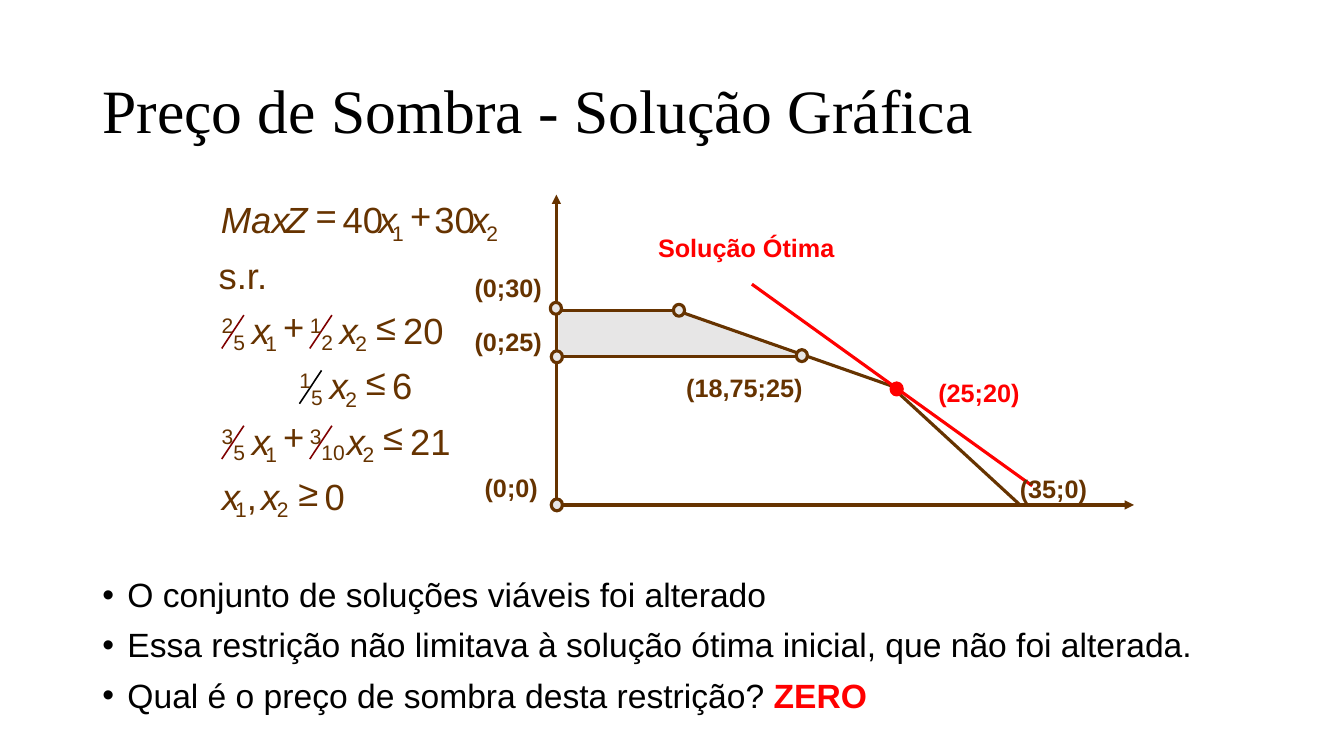
from lxml.etree import SubElement
from pptx import Presentation
from pptx.dml.color import RGBColor
from pptx.enum.shapes import MSO_CONNECTOR, MSO_SHAPE
from pptx.enum.text import MSO_ANCHOR, MSO_AUTO_SIZE
from pptx.oxml.ns import qn
from pptx.util import Pt

BROWN, RED, MAROON, BLACK, GRAY = "663300", "FF0000", "800000", "000000", "E7E6E6"
GLYPH_WIDTHS = {"Max": 1.95, "Z": 0.63, "s.r.": 1.4, ",": 0.3, "x": 0.52}


def color(value):
    return RGBColor.from_string(value)


class ShadowPriceSlide:
    """Draws formulas, graph parts and text on one slide in a shared style."""

    def __init__(self, slide):
        self.slide = slide
        self.font = "Arial"
        self.line_width = 2.25
        self.first_row, self.row_step = 141.1, 39.5

    def add_run(self, paragraph, text, size, hex_color=BLACK, bold=False, italic=False, font=None):
        run = paragraph.add_run()
        run.text = text
        run.font.name = font or self.font
        run.font.size = Pt(size)
        run.font.bold = bold
        run.font.italic = italic
        run.font.color.rgb = color(hex_color)

    def text_box(self, left, top, width, height, wrap=True, inset=None, anchor=MSO_ANCHOR.TOP):
        shape = self.slide.shapes.add_textbox(Pt(left), Pt(top), Pt(width), Pt(height))
        frame = shape.text_frame
        frame.word_wrap = wrap
        frame.vertical_anchor = anchor
        if not wrap:
            frame.auto_size = MSO_AUTO_SIZE.SHAPE_TO_FIT_TEXT
        if inset is not None:
            frame.margin_left = frame.margin_right = Pt(inset)
            frame.margin_top = frame.margin_bottom = Pt(inset)
        return frame

    def line(self, start, end, hex_color=BROWN, width=None, arrow=False):
        connector = self.slide.shapes.add_connector(
            MSO_CONNECTOR.STRAIGHT, *(Pt(value) for value in (*start, *end)))
        connector.line.color.rgb = color(hex_color)
        connector.line.width = Pt(width or self.line_width)
        properties = connector._element.spPr
        if arrow:
            SubElement(properties.find(qn("a:ln")), qn("a:tailEnd"), type="triangle")
        SubElement(properties, qn("a:effectLst"))

    def dot(self, left, top, fill=GRAY, outline=BROWN):
        shape = self.slide.shapes.add_shape(MSO_SHAPE.OVAL, Pt(left), Pt(top), Pt(8), Pt(8.5))
        shape.shadow.inherit = False
        shape.fill.solid()
        shape.fill.fore_color.rgb = color(fill)
        shape.line.color.rgb = color(outline)
        shape.line.width = Pt(self.line_width)

    def region(self, points):
        corners = [(Pt(x), Pt(y)) for x, y in points]
        builder = self.slide.shapes.build_freeform(*corners[0], scale=1.0)
        builder.add_line_segments(corners[1:], close=True)
        shape = builder.convert_to_shape()
        shape.shadow.inherit = False
        shape.fill.solid()
        shape.fill.fore_color.rgb = color(GRAY)
        shape.line.fill.background()

    def label(self, text, left, top, width, hex_color=BROWN):
        frame = self.text_box(left, top, width, 28.8, wrap=False, anchor=MSO_ANCHOR.MIDDLE)
        self.add_run(frame.paragraphs[0], text, 18, hex_color, bold=True)

    def glyph(self, row, left, text, shift=0, size=26):
        width = GLYPH_WIDTHS.get(text, 0.59 * len(text)) * size
        top = self.first_row + row * self.row_step + shift
        frame = self.text_box(left, top, width, size * 1.2, wrap=False, inset=0)
        self.add_run(frame.paragraphs[0], text, size, BROWN, italic=text in ("Max", "Z", "x"))

    def operator(self, row, left, text):
        self.glyph(row, left, text, shift=-3)

    def variable(self, row, left, index):
        self.glyph(row, left, "x")
        self.glyph(row, left + (9.5 if index == "1" else 11.3), index, shift=16.2, size=15)

    def fraction(self, row, left, numerator, denominator, hex_color=MAROON):
        top = self.first_row + row * self.row_step
        self.line((left + 15.8, top + 5), (left, top + 28.8), hex_color, 1.13)
        self.glyph(row, left, numerator, shift=3.2, size=15)
        self.glyph(row, left + 8.3, denominator, shift=15.1, size=15)

    def title(self, text):
        frame = self.text_box(66, 28.8, 828, 104.4, anchor=MSO_ANCHOR.MIDDLE)
        frame.paragraphs[0].line_spacing = 0.9
        self.add_run(frame.paragraphs[0], text, 44, font="Times New Roman")

    def bullets(self, items):
        frame = self.text_box(66, 409.8, 828, 108)
        for index, runs in enumerate(items):
            paragraph = frame.add_paragraph() if index else frame.paragraphs[0]
            properties = paragraph._p.get_or_add_pPr()
            properties.set("marL", str(Pt(18)))
            properties.set("indent", str(Pt(-18)))
            SubElement(properties, qn("a:buFont"), typeface=self.font)
            SubElement(properties, qn("a:buChar"), char="•")
            paragraph.line_spacing = 0.9
            paragraph.space_before = Pt(10 if index else 0)
            for text, hex_color, bold in runs:
                self.add_run(paragraph, text, 24, hex_color, bold)


def draw_formulas(page):
    for row, left, text in [
        (0, 157.7, "Max"), (0, 203.8, "Z"), (0, 244.8, "40"), (0, 310.3, "30"),
        (1, 156.2, "s.r."), (2, 288, "20"), (3, 280.1, "6"), (4, 293, "21"),
        (5, 176.4, ","), (5, 231.8, "0"),
    ]:
        page.glyph(row, left, text)
    for row, left, text in [
        (0, 225.4, "="), (0, 293, "+"), (2, 202.3, "+"), (2, 268.6, "≤"),
        (3, 261.4, "≤"), (4, 202.3, "+"), (4, 273.6, "≤"), (5, 213.1, "≥"),
    ]:
        page.operator(row, left, text)
    for row, left, index in [
        (0, 270.7, "1"), (0, 336.2, "2"), (2, 180, "1"), (2, 242.6, "2"), (3, 235.4, "2"),
        (4, 180, "1"), (4, 247.7, "2"), (5, 158.4, "1"), (5, 186.5, "2"),
    ]:
        page.variable(row, left, index)
    page.fraction(2, 158.4, "2", "5")
    page.fraction(2, 221.3, "1", "2")
    page.fraction(3, 213.9, "1", "5", BLACK)
    page.fraction(4, 158.4, "3", "5")
    page.fraction(4, 221.3, "3", "10")


def draw_graph(page):
    page.region([(398.9, 221.8), (480.2, 221.8), (573.1, 254.9), (398.9, 254.9)])
    page.line((397.4, 360.7), (810, 360.7), arrow=True)
    page.line((397.4, 362.2), (397.4, 139), arrow=True)
    for start, end in [
        ((637.9, 277.2), (727.9, 360)), ((398.2, 254.9), (574.6, 254.9)),
        ((481, 221), (637.2, 275.8)), ((398.9, 221.8), (485.3, 221.8)),
    ]:
        page.line(start, end)
    page.dot(636.5, 273.6, RED, RED)
    page.line((537.1, 203), (737.3, 347), RED)
    for left, top in [(393.8, 250.6), (393.8, 356.4), (568.8, 249.8), (481, 217.4), (393.1, 216)]:
        page.dot(left, top)
    for text, left, top, width in [
        ("(0;30)", 331.9, 190.8, 63.4), ("(0;25)", 331.9, 229.7, 63.4),
        ("(0;0)", 339.1, 334.1, 52.6), ("(18,75;25)", 483.1, 262.1, 98.6),
        ("(35;0)", 721.4, 334.8, 63.4),
    ]:
        page.label(text, left, top, width)
    page.label("Solução Ótima", 463, 162.7, 141.8, RED)
    page.label("(25;20)", 663.1, 265.7, 73.4, RED)


def main():
    presentation = Presentation()
    presentation.slide_width, presentation.slide_height = Pt(960), Pt(540)
    page = ShadowPriceSlide(presentation.slides.add_slide(presentation.slide_layouts[6]))
    page.title("Preço de Sombra - Solução Gráfica")
    draw_formulas(page)
    draw_graph(page)
    page.bullets([
        [("O conjunto de soluções viáveis foi alterado", BLACK, False)],
        [("Essa restrição não limitava à solução ótima inicial, que não foi alterada.", BLACK, False)],
        [("Qual é o preço de sombra desta restrição? ", BLACK, False), ("ZERO", RED, True)],
    ])
    presentation.save("out.pptx")


if __name__ == "__main__":
    main()
